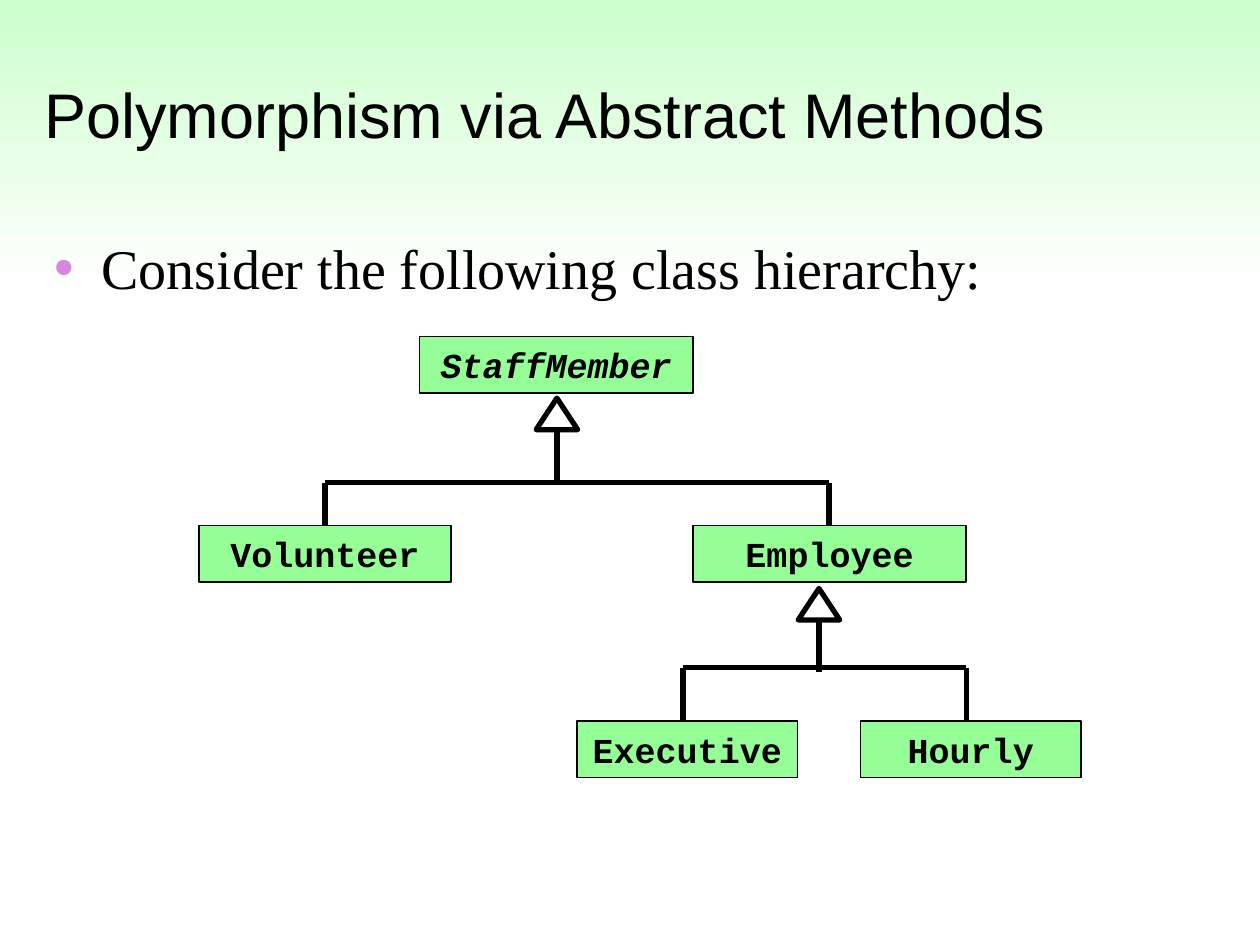
from typing import NamedTuple

from lxml.etree import SubElement
from pptx import Presentation
from pptx.dml.color import RGBColor
from pptx.enum.shapes import MSO_CONNECTOR, MSO_SHAPE
from pptx.enum.text import MSO_ANCHOR as Anchor, MSO_AUTO_SIZE, PP_ALIGN as Align
from pptx.oxml.ns import qn
from pptx.util import Inches, Pt

BLACK, WHITE = "000000", "FFFFFF"
MINT, BOX_GREEN, BULLET_VIOLET = "CCFFCC", "96FE96", "D885E3"
BOX_HEIGHT = 0.45
ARROW_WIDTH, ARROW_HEIGHT = 0.33, 0.25


class ClassBox(NamedTuple):
    name: str
    left: float
    top: float
    width: float
    italic: bool = False


class Branch(NamedTuple):
    """Inheritance arrow: one parent stem, a crossbar and drops to children."""
    center: float
    arrow_top: float
    stem_bottom: float
    bar_y: float
    drops: tuple[tuple[float, float], ...]  # x and bottom of each drop


CLASSES = [
    ClassBox("StaffMember", 3.33, 2.67, 2.17, italic=True),
    ClassBox("Volunteer", 1.58, 4.17, 2),
    ClassBox("Employee", 5.5, 4.17, 2.17),
    ClassBox("Executive", 4.58, 5.72, 1.75),
    ClassBox("Hourly", 6.83, 5.72, 1.75),
]
BRANCHES = [
    Branch(4.42, 3.16, 3.83, 3.83, ((2.58, 4.17), (6.58, 4.17))),
    Branch(6.5, 4.67, 5.33, 5.3, ((5.42, 5.75), (7.67, 5.72))),
]


def color(value: str) -> RGBColor:
    return RGBColor.from_string(value)


def place(shape, left: float, top: float, width: float, height: float) -> None:
    shape.left, shape.top = Inches(left), Inches(top)
    shape.width, shape.height = Inches(width), Inches(height)


def write(shape, text: str, *, font: str, size: int, bold=False, italic=False,
          align=Align.LEFT, anchor=Anchor.MIDDLE, bullet: str | None = None) -> None:
    frame = shape.text_frame
    frame.text = text
    frame.word_wrap = True
    frame.auto_size = MSO_AUTO_SIZE.NONE
    frame.vertical_anchor = anchor
    paragraph = frame.paragraphs[0]
    paragraph.alignment = align
    paragraph.space_before = Pt(0)
    if bullet:
        properties = paragraph._p.get_or_add_pPr()
        bullet_color = SubElement(properties, qn("a:buClr"))
        SubElement(bullet_color, qn("a:srgbClr"), val=bullet)
        SubElement(properties, qn("a:buChar"), char="•")
    style = paragraph.runs[0].font
    style.name, style.size = font, Pt(size)
    style.bold, style.italic = bold, italic
    style.color.rgb = color(BLACK)


def add_line(slide, x1: float, y1: float, x2: float, y2: float) -> None:
    line = slide.shapes.add_connector(
        MSO_CONNECTOR.STRAIGHT, Inches(x1), Inches(y1), Inches(x2), Inches(y2))
    line.line.color.rgb = color(BLACK)
    line.line.width = Pt(3)
    SubElement(line._element.spPr, qn("a:effectLst"))


def add_outlined(slide, kind, left: float, top: float, width: float, height: float,
                 *, weight: float, fill: str | None = None):
    shape = slide.shapes.add_shape(
        kind, Inches(left), Inches(top), Inches(width), Inches(height))
    shape.shadow.inherit = False
    if fill:
        shape.fill.solid()
        shape.fill.fore_color.rgb = color(fill)
    else:
        shape.fill.background()
    shape.line.color.rgb = color(BLACK)
    shape.line.width = Pt(weight)
    return shape


def add_branch(slide, branch: Branch) -> None:
    add_line(slide, branch.center, branch.stem_bottom,
             branch.center, branch.arrow_top + ARROW_HEIGHT)
    add_outlined(slide, MSO_SHAPE.ISOSCELES_TRIANGLE, branch.center - ARROW_WIDTH / 2,
                 branch.arrow_top, ARROW_WIDTH, ARROW_HEIGHT, weight=3)
    add_line(slide, branch.drops[0][0], branch.bar_y, branch.drops[-1][0], branch.bar_y)
    for x, bottom in branch.drops:
        add_line(slide, x, branch.bar_y, x, bottom)


def add_class(slide, box: ClassBox) -> None:
    shape = add_outlined(slide, MSO_SHAPE.RECTANGLE, box.left, box.top, box.width,
                         BOX_HEIGHT, weight=1, fill=BOX_GREEN)
    write(shape, box.name, font="Courier New", size=20, bold=True,
          italic=box.italic, align=Align.CENTER)


def add_header_band(slide) -> None:
    band = slide.shapes.add_shape(
        MSO_SHAPE.RECTANGLE, 0, 0, Inches(10), Inches(2.32))
    band.shadow.inherit = False
    band.line.fill.background()
    band.fill.gradient()
    band.fill.gradient_angle = 270
    for stop, value, position in zip(band.fill.gradient_stops, (MINT, WHITE), (0, 1)):
        stop.color.rgb = color(value)
        stop.position = position
    # Send the band behind the placeholders
    slide.shapes._spTree.insert(2, band._element)


def main() -> None:
    presentation = Presentation()
    presentation.slide_width, presentation.slide_height = Inches(10), Inches(7.5)
    slide = presentation.slides.add_slide(presentation.slide_layouts[1])
    add_header_band(slide)

    # Title and bullet
    title, body = slide.shapes.title, slide.placeholders[1]
    place(title, 0.25, 0.16, 9.42, 1.09)
    write(title, "Polymorphism via Abstract Methods", font="Arial", size=36,
          anchor=Anchor.BOTTOM)
    place(body, 0.33, 1.75, 9.07, 5)
    body.text_frame.margin_top = Inches(0.1)
    body.text_frame.margin_right = 0
    write(body, "Consider the following class hierarchy:", font="Times New Roman",
          size=32, anchor=Anchor.TOP, bullet=BULLET_VIOLET)

    # Class hierarchy
    for branch in BRANCHES:
        add_branch(slide, branch)
    for box in CLASSES:
        add_class(slide, box)

    presentation.save("out.pptx")


if __name__ == "__main__":
    main()
